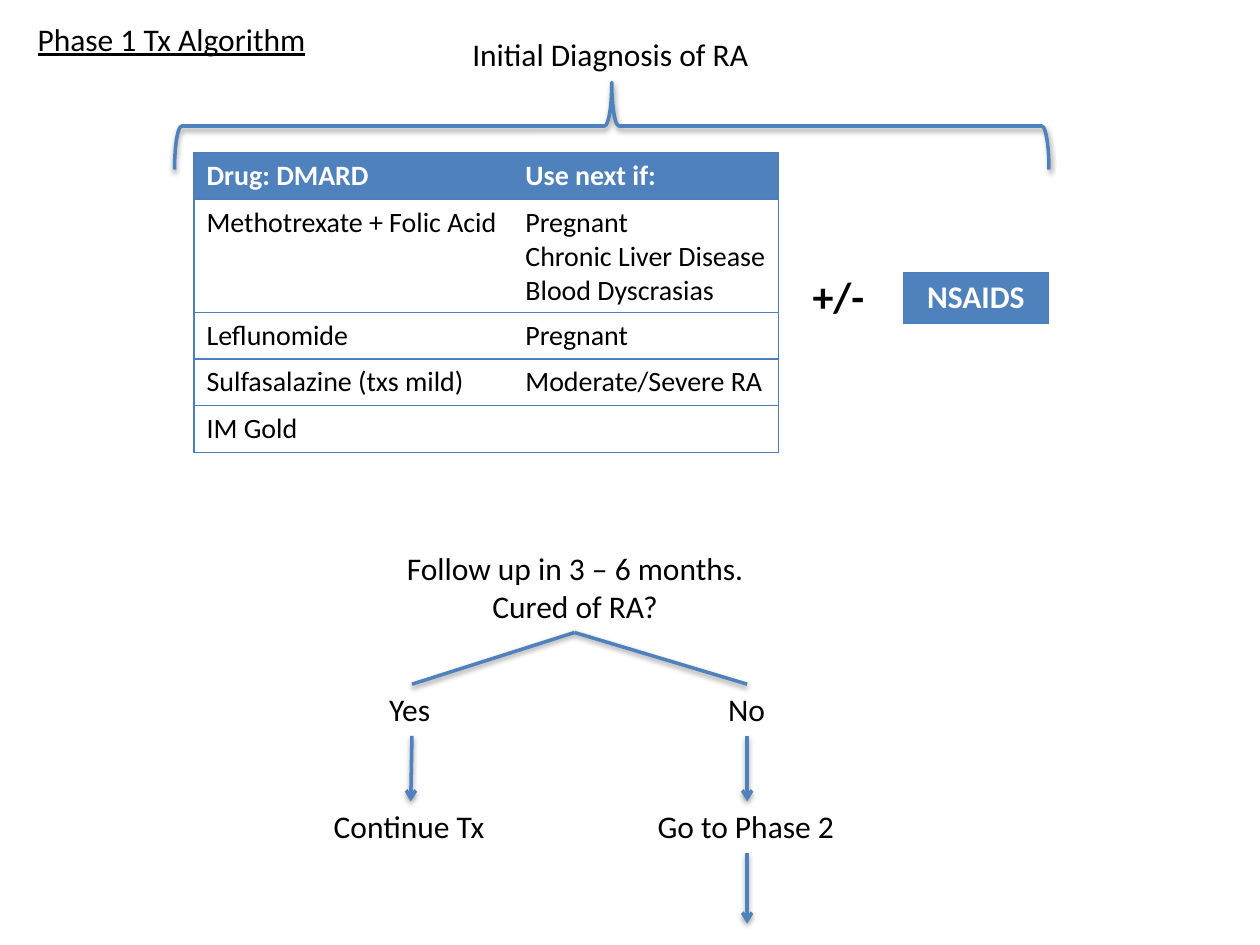
from lxml import etree
from pptx import Presentation
from pptx import util as u
from pptx.dml.color import RGBColor
from pptx.enum import shapes, text
from pptx.oxml import parse_xml
from pptx.oxml.ns import nsdecls, qn

BLUE, BORDER, BLACK, WHITE = "4F81BD", "4B7EBC", "000000", "FFFFFF"
YES_X, NO_X, FORK_X = 3.27, 5.93, 4.56
FORK_Y, ANSWER_Y, ANSWER_END, ACTION_Y, ACTION_END = 5.02, 5.43, 5.84, 6.36, 6.77
DRUG_ROWS = [
    ("Drug: DMARD", "Use next if:"),
    ("Methotrexate + Folic Acid", "Pregnant\nChronic Liver Disease\nBlood Dyscrasias"),
    ("Leflunomide", "Pregnant"),
    ("Sulfasalazine (txs mild)", "Moderate/Severe RA"),
    ("IM Gold", ""),
]


def color(value):
    """Return the colour for a hex string."""
    return RGBColor.from_string(value)


def write(frame, wording, size, ink=BLACK, bold=False, underline=False, centered=False):
    """Write each line of the wording as a paragraph of one run."""
    for index, line in enumerate(wording.split("\n")):
        paragraph = frame.paragraphs[0] if index == 0 else frame.add_paragraph()
        paragraph.alignment = text.PP_ALIGN.CENTER if centered else text.PP_ALIGN.LEFT
        if not line:
            etree.SubElement(paragraph._p, qn("a:endParaRPr"), sz=str(size * 100))
            continue
        run = paragraph.add_run()
        run.text = line
        font = run.font
        font.name, font.size, font.bold = "Calibri", u.Pt(size), bold
        font.underline = underline
        font.color.rgb = color(ink)


def add_label(slide, wording, left, top, width, height=0.4, size=18, **style):
    """Add an unwrapped text box."""
    box = slide.shapes.add_textbox(*map(u.Inches, (left, top, width, height)))
    box.text_frame.word_wrap = False
    write(box.text_frame, wording, size, **style)


def style_stroke(stroke):
    """Give a brace or connector its blue line and soft shadow."""
    stroke.line.color.rgb = color(BLUE)
    stroke.line.width = u.Pt(2)
    stroke._element.spPr.append(parse_xml(
        f'<a:effectLst {nsdecls("a")}><a:outerShdw blurRad="40000" dist="20000" '
        f'dir="5400000" rotWithShape="0"><a:srgbClr val="{BLACK}">'
        '<a:alpha val="38000"/></a:srgbClr></a:outerShdw></a:effectLst>'))


def add_line(slide, start, end, arrow=False):
    """Add a straight connector, optionally with an arrowhead at its end."""
    line = slide.shapes.add_connector(
        shapes.MSO_CONNECTOR.STRAIGHT, *map(u.Inches, (*start, *end)))
    style_stroke(line)
    if arrow:
        etree.SubElement(line.line._get_or_add_ln(), qn("a:tailEnd"), type="arrow")


def add_brace(slide, left, top, width, height):
    """Add a left brace turned to open downwards."""
    brace = slide.shapes.add_shape(
        shapes.MSO_SHAPE.LEFT_BRACE, *map(u.Inches, (left, top, width, height)))
    brace.rotation = 90
    brace.fill.background()
    style_stroke(brace)


def set_borders(cell, first, last):
    """Draw horizontal borders and only the outer vertical ones."""
    for side, visible in (("L", first), ("R", last), ("T", True), ("B", True)):
        fill = (f'<a:solidFill><a:srgbClr val="{BORDER}"/></a:solidFill>'
                if visible else "<a:noFill/>")
        cell._tc.get_or_add_tcPr().append(parse_xml(
            f'<a:ln{side} {nsdecls("a")} w="9525">{fill}</a:ln{side}>'))


def add_grid(slide, rows, left, top, widths, heights, size, centered=False):
    """Add a table whose first row is a blue header."""
    grid = slide.shapes.add_table(
        len(rows), len(widths),
        *map(u.Inches, (left, top, sum(widths), sum(heights)))).table
    grid.first_row = grid.horz_banding = False
    for column, width in zip(grid.columns, widths):
        column.width = u.Inches(width)
    for r, (row, height) in enumerate(zip(rows, heights)):
        grid.rows[r].height = u.Inches(height)
        header = r == 0
        for c, wording in enumerate(row):
            cell = grid.cell(r, c)
            set_borders(cell, c == 0, c == len(row) - 1)
            if header:
                cell.fill.solid()
                cell.fill.fore_color.rgb = color(BLUE)
            else:
                cell.fill.background()
            write(cell.text_frame, wording, size, ink=WHITE if header else BLACK,
                  bold=header, centered=centered)


def main():
    """Build the treatment algorithm slide."""
    deck = Presentation()
    deck.slide_width, deck.slide_height = u.Inches(10), u.Inches(7.5)
    slide = deck.slides.add_slide(deck.slide_layouts[6])

    add_label(slide, "Phase 1 Tx Algorithm", 0.2, 0.11, 2.36, underline=True)
    add_label(slide, "Initial Diagnosis of RA", 3.65, 0.23, 2.41)
    add_grid(slide, DRUG_ROWS, 1.54, 1.21, [2.53, 2.11],
             [0.37, 0.9, 0.37, 0.37, 0.37], 16)
    add_label(slide, "+/-", 6.35, 2.1, 0.62, 0.5, size=24, bold=True)
    add_grid(slide, [("NSAIDS",)], 7.17, 2.16, [1.15], [0.41], 18, centered=True)
    add_brace(slide, 4.51, -2.47, 0.69, 6.94)

    add_label(slide, "Follow up in 3 – 6 months.\nCured of RA?", 3.11, 4.31, 2.91, 0.71,
              centered=True)
    add_label(slide, "Yes", 2.99, ANSWER_Y, 0.55)
    add_label(slide, "No", 5.68, ANSWER_Y, 0.5)
    add_label(slide, "Continue Tx", 2.55, ACTION_Y, 1.42)
    add_label(slide, "Go to Phase 2", 5.12, ACTION_Y, 1.62)
    for answer_x, action_x in ((YES_X, 3.26), (NO_X, NO_X)):
        add_line(slide, (FORK_X, FORK_Y), (answer_x, ANSWER_Y))
        add_line(slide, (answer_x, ANSWER_END), (action_x, ACTION_Y), arrow=True)
    add_line(slide, (NO_X, ACTION_END), (NO_X, 7.33), arrow=True)
    deck.save("out.pptx")


if __name__ == "__main__":
    main()
